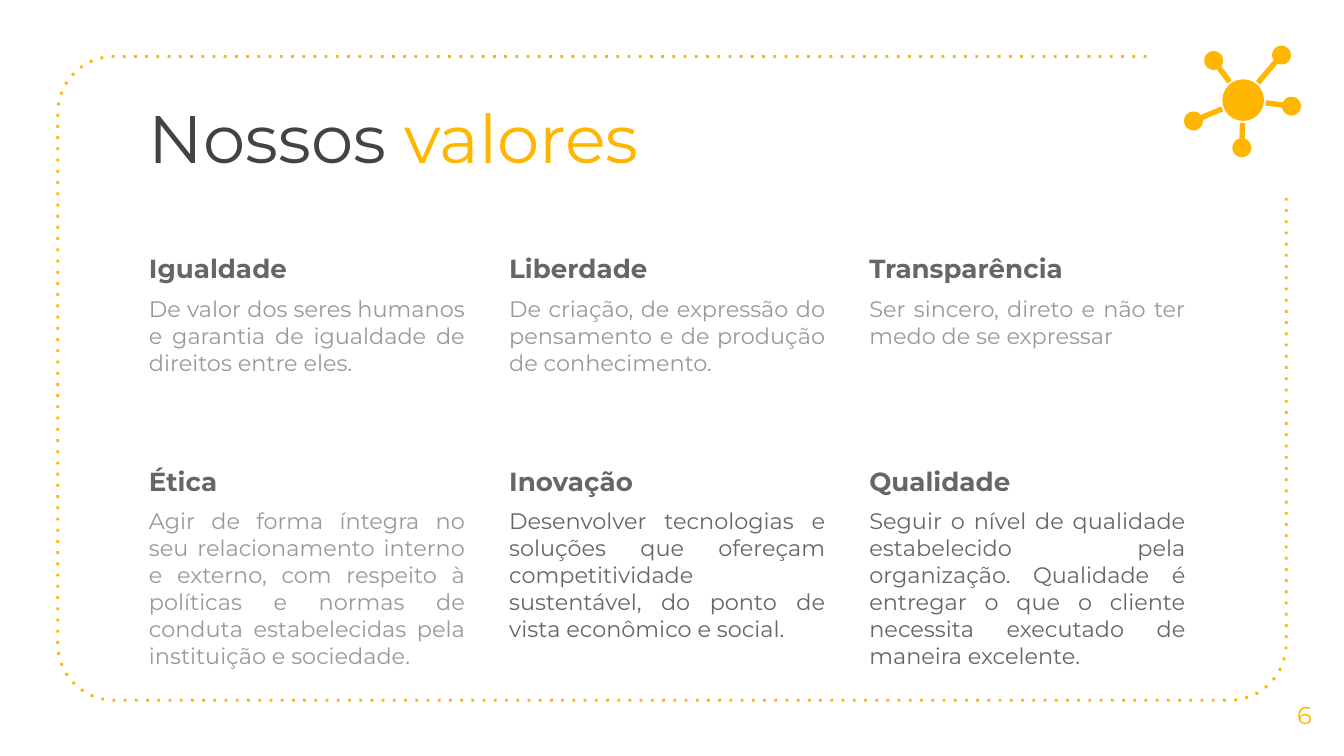
"""Builds the slide of company values: a dotted frame, six texts on a grid and a network icon."""
from math import asin, atan2, cos, pi, sin

from lxml.etree import SubElement
from pptx import Presentation
from pptx.dml.color import RGBColor
from pptx.enum.shapes import MSO_SHAPE
from pptx.enum.text import MSO_ANCHOR, PP_ALIGN
from pptx.oxml.ns import qn
from pptx.util import Inches, Pt

YELLOW, DARK, GREY, PALE = "FFB600", "434343", "666666", "999999"


def paint(fill, color):
    fill.solid()
    fill.fore_color.rgb = RGBColor.from_string(color)


def add_text(box, paragraphs, anchor=MSO_ANCHOR.TOP):
    tf = s.shapes.add_textbox(*[Inches(v) for v in box]).text_frame
    tf.word_wrap = True
    tf.vertical_anchor = anchor
    tf.margin_left = tf.margin_right = tf.margin_top = tf.margin_bottom = Inches(0.1)
    for i, (align, before, runs) in enumerate(paragraphs):
        p = tf.add_paragraph() if i else tf.paragraphs[0]
        p.alignment, p.space_before = align, Pt(before)
        for text, size, color, bold in runs:
            r = p.add_run()
            r.text = text
            r.font.name, r.font.size, r.font.bold = "Montserrat", Pt(size), bold
            paint(r.font.fill, color)


prs = Presentation()
prs.slide_width, prs.slide_height = Inches(10), Inches(5.625)
s = prs.slides.add_slide(prs.slide_layouts[6])

left, top, right, bottom, radius = 0.43, 0.42, 9.57, 5.21, 0.42
outline = [(8.53, top)]
for cx, cy, start in [(left + radius, top + radius, 270),
                      (left + radius, bottom - radius, 180),
                      (right - radius, bottom - radius, 90)]:
    for step in range(16):
        a = (start - 6 * step) * pi / 180
        outline.append((cx + radius * cos(a), cy + radius * sin(a)))
outline += [(right, bottom - radius), (right, 1.46)]
points = [(Inches(x), Inches(y)) for x, y in outline]
fb = s.shapes.build_freeform(*points[0])
fb.add_line_segments(points[1:], close=False)
frame = fb.convert_to_shape()
frame.shadow.inherit = False
frame.fill.background()
paint(frame.line.fill, YELLOW)
frame.line.width = Pt(1.5)
SubElement(frame.element.spPr.find(qn("a:ln")), qn("a:prstDash"), val="dot")

add_text((1.01, 0.62, 7.51, 1.02),
         [(PP_ALIGN.LEFT, 0, [("Nossos ", 36, DARK, False), ("valores", 36, YELLOW, False)])])

company_values = [
    ("Igualdade", PALE, "De valor dos seres humanos e garantia de igualdade de direitos entre eles."),
    ("Liberdade", PALE, "De criação, de expressão do pensamento e de produção de conhecimento."),
    ("Transparência", PALE, "Ser sincero, direto e não ter medo de se expressar "),
    ("Ética", PALE, "Agir de forma íntegra no seu relacionamento interno e externo, com respeito à "
     "políticas e normas de conduta estabelecidas pela instituição e sociedade."),
    ("Inovação", GREY, "Desenvolver tecnologias e soluções que ofereçam competitividade sustentável, "
     "do ponto de vista econômico e social."),
    ("Qualidade", GREY, "Seguir o nível de qualidade estabelecido pela organização. Qualidade é "
     "entregar o que o cliente necessita executado de maneira excelente."),
]
for i, (name, color, text) in enumerate(company_values):
    row, col = divmod(i, 3)
    add_text((1.01 + 2.68 * col, 1.78 + 1.58 * row, 2.55, 1.62),
             [(PP_ALIGN.LEFT, 6, [(name, 14, GREY, True)]),
              (PP_ALIGN.JUSTIFY, 6, [(text, 12, color, False)])])

add_text((9.41, 5.02, 0.59, 0.6), [(PP_ALIGN.CENTER, 0, [("6", 13, YELLOW, False)])],
         MSO_ANCHOR.MIDDLE)

hub_x, hub_y, hub_r, node_r, arm = 9.25, 0.745, 0.155, 0.07, 0.02
icon = []
for x, y in [(9.535, 0.41), (9.03, 0.45), (8.88, 0.9), (9.24, 1.1), (9.61, 0.79)]:
    a, gap = atan2(hub_y - y, hub_x - x), asin(arm / node_r)
    end_x, end_y = hub_x - 0.17 * cos(a), hub_y - 0.17 * sin(a)
    outline = [(end_x + k * arm * sin(a), end_y - k * arm * cos(a)) for k in (1, -1)]
    for step in range(33):
        t = a + gap + (2 * pi - 2 * gap) * step / 32
        outline.append((x + node_r * cos(t), y + node_r * sin(t)))
    points = [(Inches(px), Inches(py)) for px, py in outline]
    fb = s.shapes.build_freeform(*points[0])
    fb.add_line_segments(points[1:])
    icon.append(fb.convert_to_shape())
icon.append(s.shapes.add_shape(MSO_SHAPE.OVAL, Inches(hub_x - hub_r), Inches(hub_y - hub_r),
                               Inches(2 * hub_r), Inches(2 * hub_r)))
for part in icon:
    part.shadow.inherit = False
    paint(part.fill, YELLOW)
    part.line.fill.background()

prs.save("out.pptx")
